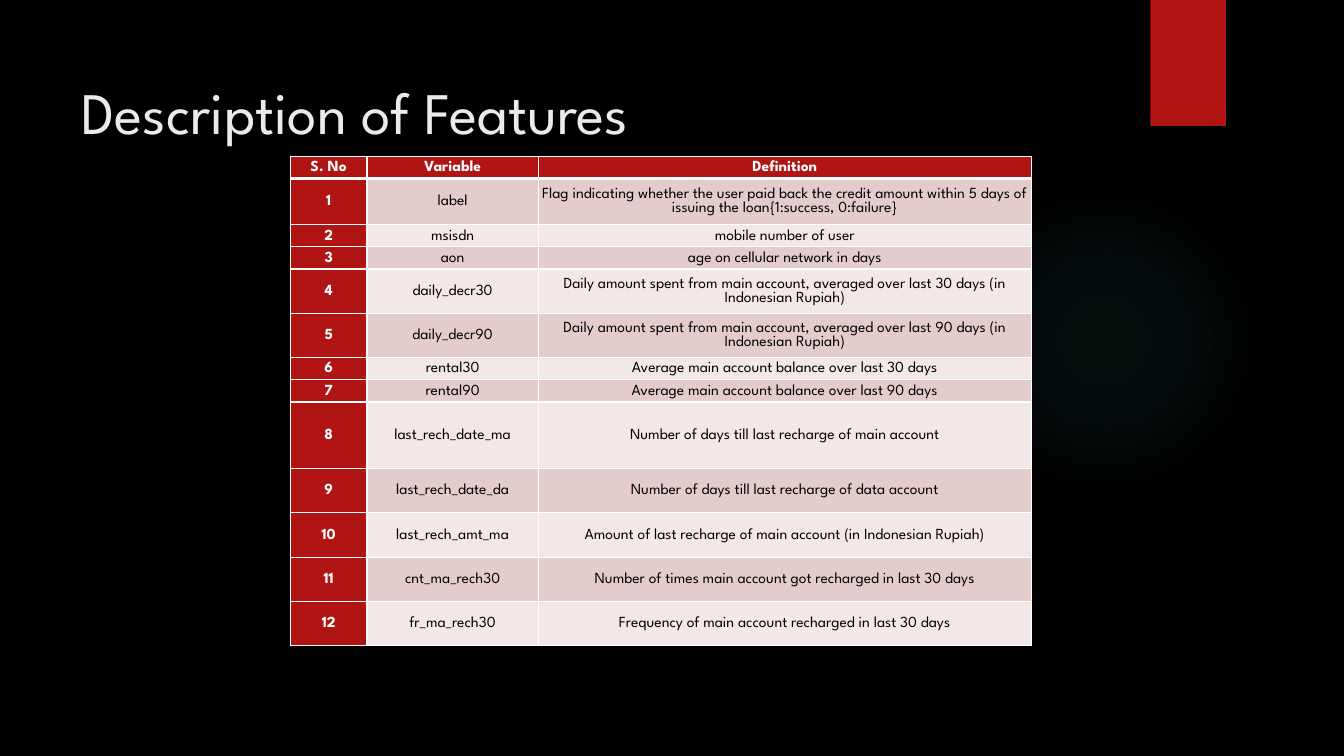
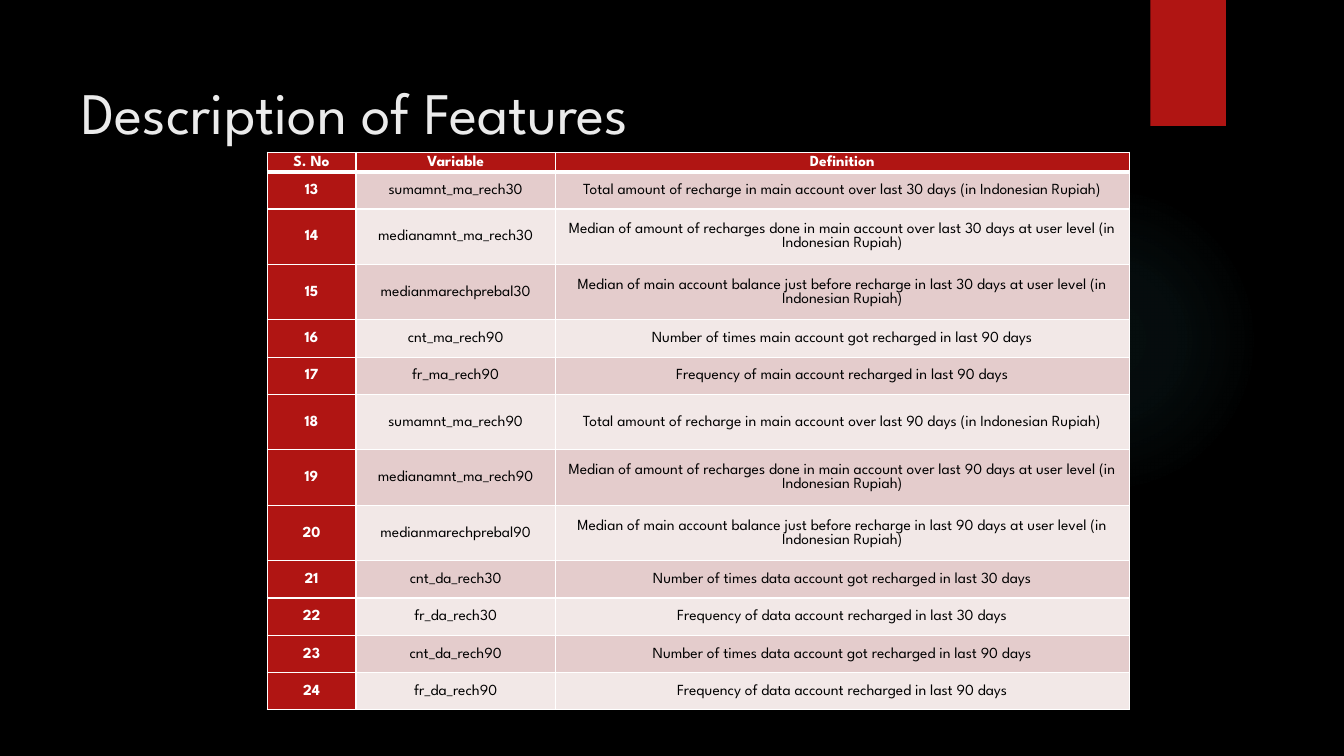
from dataclasses import dataclass

import lxml.etree
import pptx
import pptx.dml.color
import pptx.enum.shapes
import pptx.enum.text
import pptx.oxml
import pptx.oxml.ns
import pptx.presentation
import pptx.shapes.autoshape
import pptx.slide
import pptx.table
import pptx.text.text
import pptx.util

Inches = pptx.util.Inches
Pt = pptx.util.Pt


@dataclass(frozen=True)
class Theme:
    font: str = "League Spartan"
    background: str = "000000"
    accent: str = "B01513"
    glow: str = "50B9C1"
    title: str = "EBEBEB"
    light: str = "FFFFFF"
    dark: str = "000000"
    bands: tuple[str, str] = ("E4CCCC", "F2E8E7")
    title_size: int = 42
    table_size: int = 11
    thin_border: int = 1
    thick_border: int = 3


@dataclass(frozen=True)
class Feature:
    variable: str
    definition: str
    height: float


@dataclass(frozen=True)
class FeatureTable:
    left: float
    top: float
    column_widths: tuple[float, float, float]
    header_height: float
    first_number: int
    features: tuple[Feature, ...]


THEME = Theme()
TITLE = "Description of Features"
HEADINGS = ("S. No", "Variable", "Definition")
GLOW_STOPS = ((0, 7), (36, 6), (69, 0), (100, 0))  # position, opacity in percent

TABLES = (
    FeatureTable(2.88, 1.55, (0.76, 1.7, 4.89), 0.22, 1, (
        Feature("label", "Flag indicating whether the user paid back the credit amount "
                "within 5 days of issuing the loan{1:success, 0:failure}", 0.46),
        Feature("msisdn", "mobile number of user", 0.22),
        Feature("aon", "age on cellular network in days", 0.22),
        Feature("daily_decr30", "Daily amount spent from main account, averaged over "
                "last 30 days (in Indonesian Rupiah)", 0.44),
        Feature("daily_decr90", "Daily amount spent from main account, averaged over "
                "last 90 days (in Indonesian Rupiah)", 0.44),
        Feature("rental30", "Average main account balance over last 30 days", 0.22),
        Feature("rental90", "Average main account balance over last 90 days", 0.22),
        Feature("last_rech_date_ma", "Number of days till last recharge of main account", 0.66),
        Feature("last_rech_date_da", "Number of days till last recharge of data account", 0.44),
        Feature("last_rech_amt_ma", "Amount of last recharge of main account "
                "(in Indonesian Rupiah)", 0.44),
        Feature("cnt_ma_rech30", "Number of times main account got recharged "
                "in last 30 days", 0.44),
        Feature("fr_ma_rech30", "Frequency of main account recharged in last 30 days", 0.44),
    )),
    FeatureTable(2.65, 1.51, (0.88, 1.98, 5.69), 0.12, 13, (
        Feature("sumamnt_ma_rech30", "Total amount of recharge in main account over "
                "last 30 days (in Indonesian Rupiah)", 0.37),
        Feature("medianamnt_ma_rech30", "Median of amount of recharges done in main account "
                "over last 30 days at user level (in Indonesian Rupiah)", 0.55),
        Feature("medianmarechprebal30", "Median of main account balance just before recharge "
                "in last 30 days at user level (in Indonesian Rupiah)", 0.55),
        Feature("cnt_ma_rech90", "Number of times main account got recharged "
                "in last 90 days", 0.37),
        Feature("fr_ma_rech90", "Frequency of main account recharged in last 90 days", 0.37),
        Feature("sumamnt_ma_rech90", "Total amount of recharge in main account over "
                "last 90 days (in Indonesian Rupiah)", 0.55),
        Feature("medianamnt_ma_rech90", "Median of amount of recharges done in main account "
                "over last 90 days at user level (in Indonesian Rupiah)", 0.55),
        Feature("medianmarechprebal90", "Median of main account balance just before recharge "
                "in last 90 days at user level (in Indonesian Rupiah)", 0.55),
        Feature("cnt_da_rech30", "Number of times data account got recharged "
                "in last 30 days", 0.37),
        Feature("fr_da_rech30", "Frequency of data account recharged in last 30 days", 0.37),
        Feature("cnt_da_rech90", "Number of times data account got recharged "
                "in last 90 days", 0.37),
        Feature("fr_da_rech90", "Frequency of data account recharged in last 90 days", 0.37),
    )),
)


def rgb(color: str) -> pptx.dml.color.RGBColor:
    return pptx.dml.color.RGBColor.from_string(color)


def add_run(paragraph: pptx.text.text._Paragraph, text: str, size: int,
            color: str, bold: bool = False) -> None:
    run = paragraph.add_run()
    run.text = text
    run.font.name = THEME.font
    run.font.size = Pt(size)
    run.font.bold = bold
    run.font.color.rgb = rgb(color)


# Shared slide frame
def add_plain_shape(slide: pptx.slide.Slide, kind: pptx.enum.shapes.MSO_SHAPE,
                    left: float, top: float, width: float,
                    height: float) -> pptx.shapes.autoshape.Shape:
    shape = slide.shapes.add_shape(kind, Inches(left), Inches(top),
                                   Inches(width), Inches(height))
    shape.shadow.inherit = False
    shape.line.fill.background()
    return shape


def add_glow(slide: pptx.slide.Slide) -> None:
    glow = add_plain_shape(slide, pptx.enum.shapes.MSO_SHAPE.OVAL, 9.41, 1.83, 3.08, 3.08)
    glow.fill.background()
    stops = "".join(
        f'<a:gs pos="{position * 1000}"><a:srgbClr val="{THEME.glow}">'
        f'<a:alpha val="{opacity * 1000}"/></a:srgbClr></a:gs>'
        for position, opacity in GLOW_STOPS)
    gradient = pptx.oxml.parse_xml(
        f'<a:gradFill {pptx.oxml.ns.nsdecls("a")} rotWithShape="1"><a:gsLst>{stops}</a:gsLst>'
        '<a:path path="circle"><a:fillToRect l="50000" t="50000" r="50000" b="50000"/>'
        '</a:path></a:gradFill>')
    properties = glow._element.spPr
    properties.replace(properties.find(pptx.oxml.ns.qn("a:noFill")), gradient)


def add_frame(slide: pptx.slide.Slide, title: str) -> None:
    slide.background.fill.solid()
    slide.background.fill.fore_color.rgb = rgb(THEME.background)
    add_glow(slide)

    ribbon = add_plain_shape(slide, pptx.enum.shapes.MSO_SHAPE.RECTANGLE, 11.41, 0, 0.75, 1.25)
    ribbon.fill.solid()
    ribbon.fill.fore_color.rgb = rgb(THEME.accent)

    title_box = slide.shapes.add_textbox(Inches(0.71), Inches(0.5), Inches(10.29), Inches(1.53))
    frame = title_box.text_frame
    frame.word_wrap = True
    frame.margin_top = Inches(0.25)
    frame.vertical_anchor = pptx.enum.text.MSO_ANCHOR.TOP
    add_run(frame.paragraphs[0], title, THEME.title_size, THEME.title)


# Feature table
def set_borders(cell: pptx.table._Cell, top: int, bottom: int) -> None:
    properties = cell._tc.get_or_add_tcPr()
    widths = {"lnL": THEME.thin_border, "lnR": THEME.thin_border, "lnT": top, "lnB": bottom}
    for side, width in widths.items():
        line = lxml.etree.SubElement(properties, pptx.oxml.ns.qn(f"a:{side}"), w=str(Pt(width)))
        fill = lxml.etree.SubElement(line, pptx.oxml.ns.qn("a:solidFill"))
        lxml.etree.SubElement(fill, pptx.oxml.ns.qn("a:srgbClr"), val=THEME.light)


def fill_cell(cell: pptx.table._Cell, text: str, row: int, column: int) -> None:
    is_heading = row == 0 or column == 0
    set_borders(cell,
                top=THEME.thick_border if row == 1 else THEME.thin_border,
                bottom=THEME.thick_border if row == 0 else THEME.thin_border)
    cell.fill.solid()
    cell.fill.fore_color.rgb = rgb(THEME.accent if is_heading else THEME.bands[(row - 1) % 2])
    cell.margin_left = cell.margin_top = cell.margin_right = Inches(0.01)
    cell.margin_bottom = 0
    cell.vertical_anchor = pptx.enum.text.MSO_ANCHOR.MIDDLE
    paragraph = cell.text_frame.paragraphs[0]
    paragraph.alignment = pptx.enum.text.PP_ALIGN.CENTER
    add_run(paragraph, text, THEME.table_size,
            THEME.light if is_heading else THEME.dark, bold=is_heading)


def add_feature_table(slide: pptx.slide.Slide, content: FeatureTable) -> None:
    rows = [HEADINGS] + [
        (str(number), feature.variable, feature.definition)
        for number, feature in enumerate(content.features, content.first_number)]
    heights = [content.header_height] + [feature.height for feature in content.features]
    table = slide.shapes.add_table(
        len(rows), len(HEADINGS), Inches(content.left), Inches(content.top),
        Inches(sum(content.column_widths)), Inches(sum(heights))).table
    table.horz_banding = False
    for column, width in zip(table.columns, content.column_widths):
        column.width = Inches(width)
    for row_index, (texts, height) in enumerate(zip(rows, heights)):
        table.rows[row_index].height = Inches(height)
        for column_index, text in enumerate(texts):
            fill_cell(table.cell(row_index, column_index), text, row_index, column_index)


def main() -> None:
    presentation = pptx.Presentation()
    presentation.slide_width = Inches(13.33)
    presentation.slide_height = Inches(7.5)
    blank_layout = presentation.slide_layouts[6]
    for content in TABLES:
        slide = presentation.slides.add_slide(blank_layout)
        add_frame(slide, TITLE)
        add_feature_table(slide, content)
    presentation.save("out.pptx")


if __name__ == "__main__":
    main()
